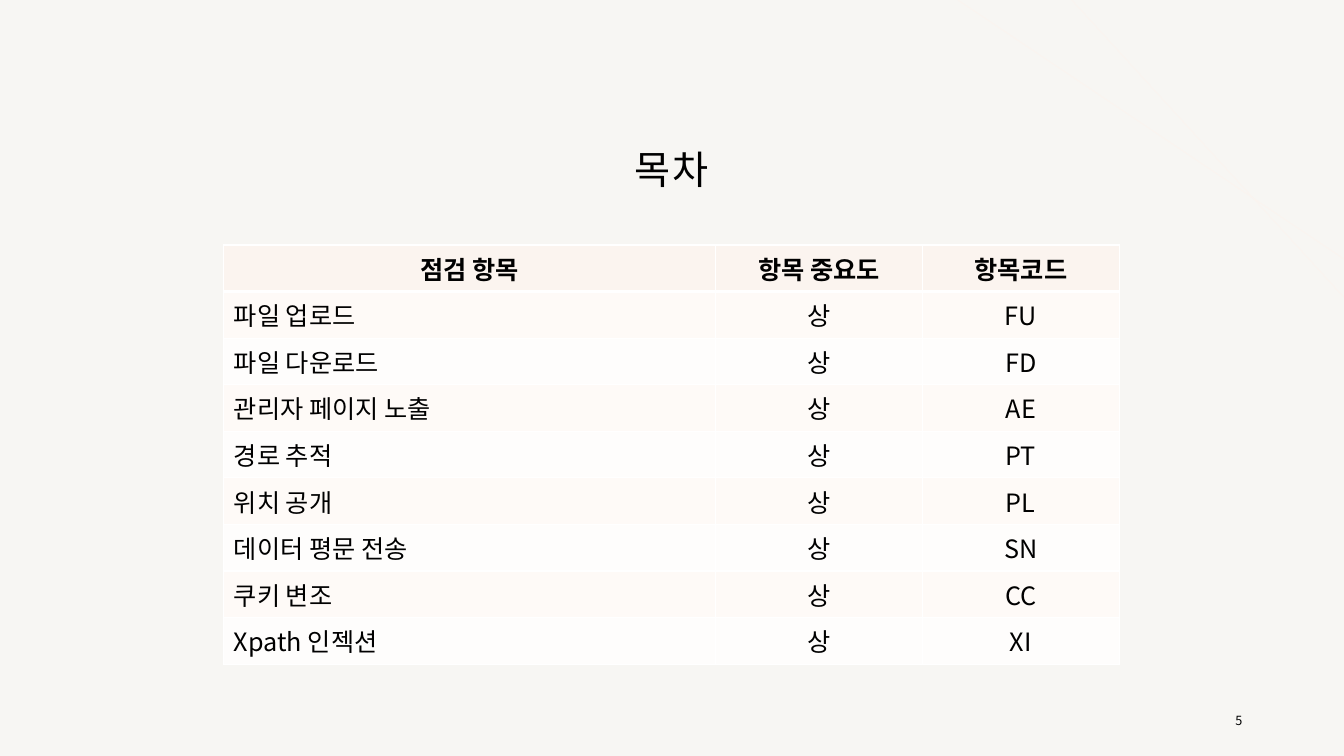
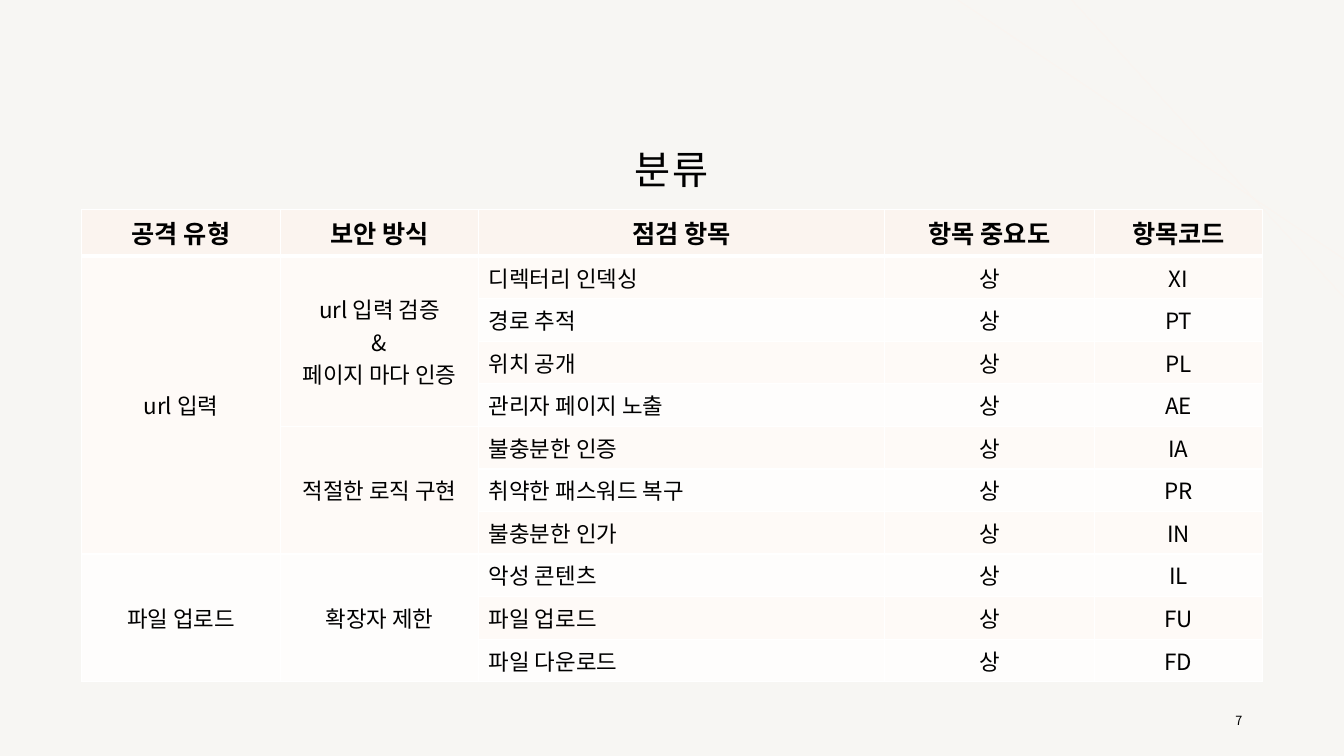
from lxml.etree import SubElement
from pptx import Presentation
from pptx.dml.color import RGBColor
from pptx.enum.shapes import MSO_CONNECTOR
from pptx.enum.text import MSO_ANCHOR, MSO_AUTO_SIZE, PP_ALIGN
from pptx.oxml.ns import qn
from pptx.util import Inches, Pt

# Shared look
WIDTH, HEIGHT = 13.33, 7.5
FONT = "Noto Sans CJK KR"
BLACK = RGBColor(0x00, 0x00, 0x00)
WHITE = RGBColor(0xFF, 0xFF, 0xFF)
PAPER = RGBColor(0xF7, 0xF6, 0xF3)
PEACH = RGBColor(0xFB, 0xF4, 0xEF)
BANDS = (RGBColor(0xFE, 0xFD, 0xFC), RGBColor(0xFE, 0xFA, 0xF7))
HEADER_SIZE = 18
CORNER_LINES = ((9.5, 2.57), (10.63, 2.95))  # start on top edge, end on right edge

# Table contents: None continues the cell above
ITEM, LEVEL, CODE = "점검 항목", "항목 중요도", "항목코드"
HIGH = "상"
CONTENTS_HEADER = (ITEM, LEVEL, CODE)
CONTENTS = [
    ("파일 업로드", HIGH, "FU"),
    ("파일 다운로드", HIGH, "FD"),
    ("관리자 페이지 노출", HIGH, "AE"),
    ("경로 추적", HIGH, "PT"),
    ("위치 공개", HIGH, "PL"),
    ("데이터 평문 전송", HIGH, "SN"),
    ("쿠키 변조", HIGH, "CC"),
    ("Xpath 인젝션", HIGH, "XI"),
]
CLASSES_HEADER = ("공격 유형", "보안 방식", ITEM, LEVEL, CODE)
CLASSES = [
    ("url 입력", "url 입력 검증\n&\n페이지 마다 인증", "디렉터리 인덱싱", HIGH, "XI"),
    (None, None, "경로 추적", HIGH, "PT"),
    (None, None, "위치 공개", HIGH, "PL"),
    (None, None, "관리자 페이지 노출", HIGH, "AE"),
    (None, "적절한 로직 구현", "불충분한 인증", HIGH, "IA"),
    (None, None, "취약한 패스워드 복구", HIGH, "PR"),
    (None, None, "불충분한 인가", HIGH, "IN"),
    ("파일 업로드", "확장자 제한", "악성 콘텐츠", HIGH, "IL"),
    (None, None, "파일 업로드", HIGH, "FU"),
    (None, None, "파일 다운로드", HIGH, "FD"),
]


def write(frame, text, size, align, bold=False, spacing=None, line_spacing=None):
    """Fill a text frame, one paragraph per line of text."""
    frame.text = text
    for para in frame.paragraphs:
        para.alignment = align
        if line_spacing:
            para.line_spacing = line_spacing
        for span in para.runs:
            formats = {"name": FONT, "size": Pt(size), "bold": bold}
            for name, value in formats.items():
                setattr(span.font, name, value)
            span.font.color.rgb = BLACK
            properties = span._r.get_or_add_rPr()
            properties.set("kern", "0")
            SubElement(properties, qn("a:ea")).set("typeface", FONT)
            if spacing:
                properties.set("spc", str(int(spacing * 100)))


def place(shape, left, top, width, height):
    lengths = {"left": left, "top": top, "width": width, "height": height}
    for name, value in lengths.items():
        setattr(shape, name, Inches(value))


def add_page(deck, layout, title, number):
    page = deck.slides.add_slide(layout)
    # Title
    box = page.shapes.title
    place(box, 2.06, 0.98, 9.21, 1.45)
    box.text_frame.auto_size = MSO_AUTO_SIZE.NONE
    box.text_frame.vertical_anchor = MSO_ANCHOR.MIDDLE
    write(box.text_frame, title, 28, PP_ALIGN.CENTER, spacing=1.5, line_spacing=0.9)
    # Page number
    box = page.shapes.add_textbox(Inches(9.42), Inches(6.95), Inches(3), Inches(0.4))
    box.text_frame.word_wrap = True
    box.text_frame.vertical_anchor = MSO_ANCHOR.MIDDLE
    write(box.text_frame, str(number), 9, PP_ALIGN.RIGHT)
    return page


def add_corner_lines(page, layout):
    """Draw the corner lines and hand them to the layout, behind its text."""
    for index, (start, end) in enumerate(CORNER_LINES):
        line = page.shapes.add_connector(
            MSO_CONNECTOR.STRAIGHT, Inches(start), 0, Inches(WIDTH), Inches(end))
        line.line.color.rgb = PEACH
        line.line.width = Pt(0.5)
        SubElement(line._element.spPr, qn("a:effectLst"))
        line._element.nvCxnSpPr.cNvPr.set("id", str(100 + index))
        layout.shapes._spTree.insert(2 + index, line._element)


def set_borders(cell, top=1, bottom=1):
    properties = cell._tc.get_or_add_tcPr()
    for side, width in (("L", 1), ("R", 1), ("T", top), ("B", bottom)):
        border = SubElement(properties, qn(f"a:ln{side}"), w=str(Pt(width)))
        fill = SubElement(border, qn("a:solidFill"))
        SubElement(fill, qn("a:srgbClr"), val=str(WHITE))


def row_height(size):
    """One line of text at this size, with the cell's margins."""
    return Inches(0.1) + Pt(size * 1.45)


def add_banded_table(page, left, top, widths, header, body, size):
    rows = [header, *body]
    sizes = [HEADER_SIZE] + [size] * len(body)
    heights = [row_height(row_size) for row_size in sizes]
    table = page.shapes.add_table(
        len(rows), len(widths), Inches(left), Inches(top),
        Inches(sum(widths)), sum(heights)).table
    for column, width in zip(table.columns, widths):
        column.width = Inches(width)
    for r, row in enumerate(rows):
        table.rows[r].height = heights[r]
        for c, text in enumerate(row):
            cell = table.cell(r, c)
            set_borders(cell, top=3 if r == 1 else 1, bottom=3 if r == 0 else 1)
            cell.fill.solid()
            cell.fill.fore_color.rgb = BANDS[r % 2] if r else PEACH
            if text is None:
                continue
            is_item = r > 0 and header[c] == ITEM
            write(cell.text_frame, text, sizes[r],
                  PP_ALIGN.LEFT if is_item else PP_ALIGN.CENTER, bold=r == 0)
            # Merge with the empty cells below
            last = r
            while last + 1 < len(rows) and rows[last + 1][c] is None:
                last += 1
            if last > r:
                cell.merge(table.cell(last, c))
                cell.vertical_anchor = MSO_ANCHOR.MIDDLE


def main():
    deck = Presentation()
    deck.slide_width, deck.slide_height = Inches(WIDTH), Inches(HEIGHT)
    background = deck.slide_master.background.fill
    background.solid()
    background.fore_color.rgb = PAPER
    layout = deck.slide_layouts.get_by_name("Title Only")

    # Contents
    page = add_page(deck, layout, "목차", 5)
    add_corner_lines(page, layout)
    add_banded_table(page, 2.22, 2.43, (4.88, 2.05, 1.95),
                     CONTENTS_HEADER, CONTENTS, 18)

    # Classification
    page = add_page(deck, layout, "분류", 7)
    add_banded_table(page, 0.81, 2.08, (1.97, 1.97, 4.02, 2.09, 1.66),
                     CLASSES_HEADER, CLASSES, 16)

    deck.save("out.pptx")


if __name__ == "__main__":
    main()
